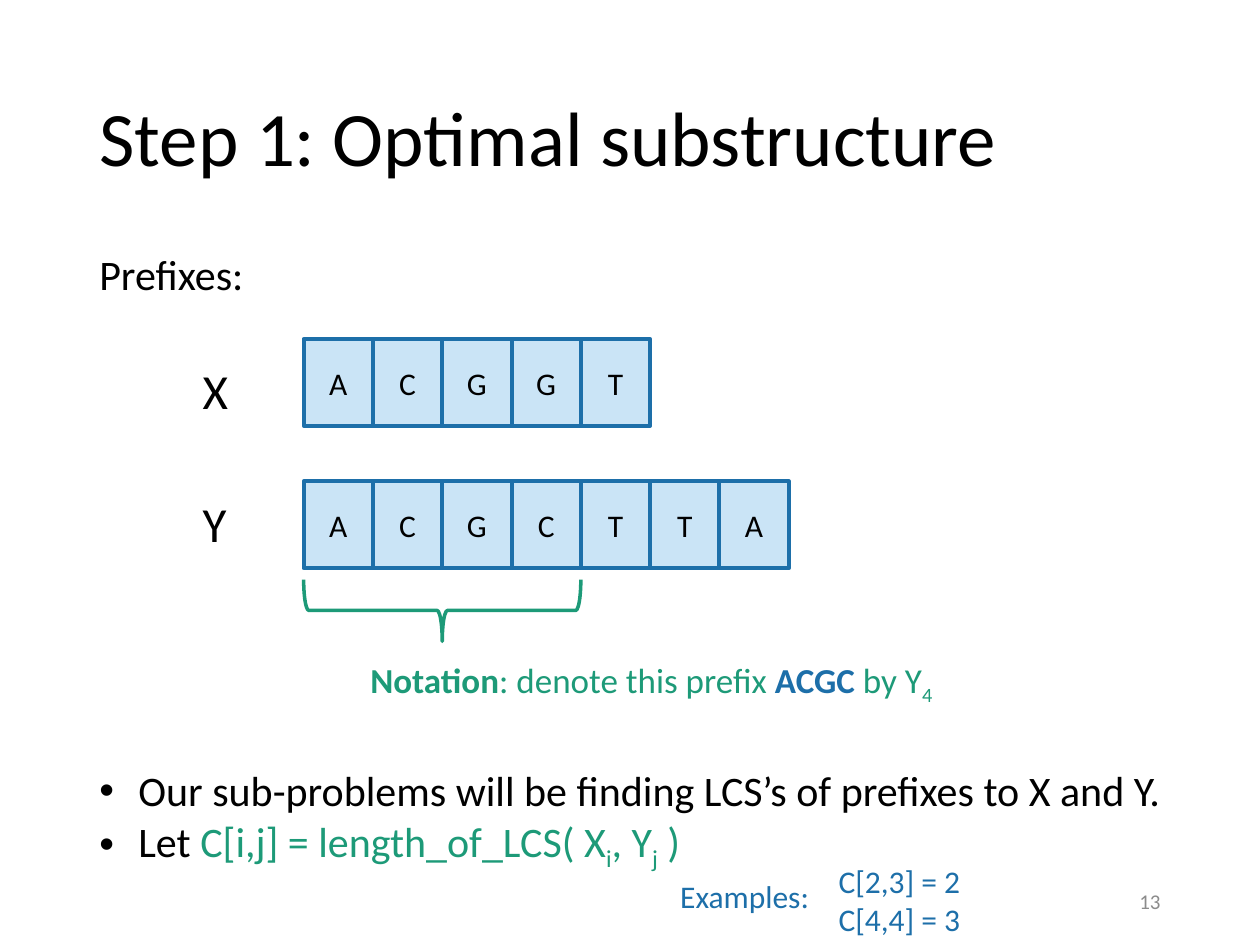
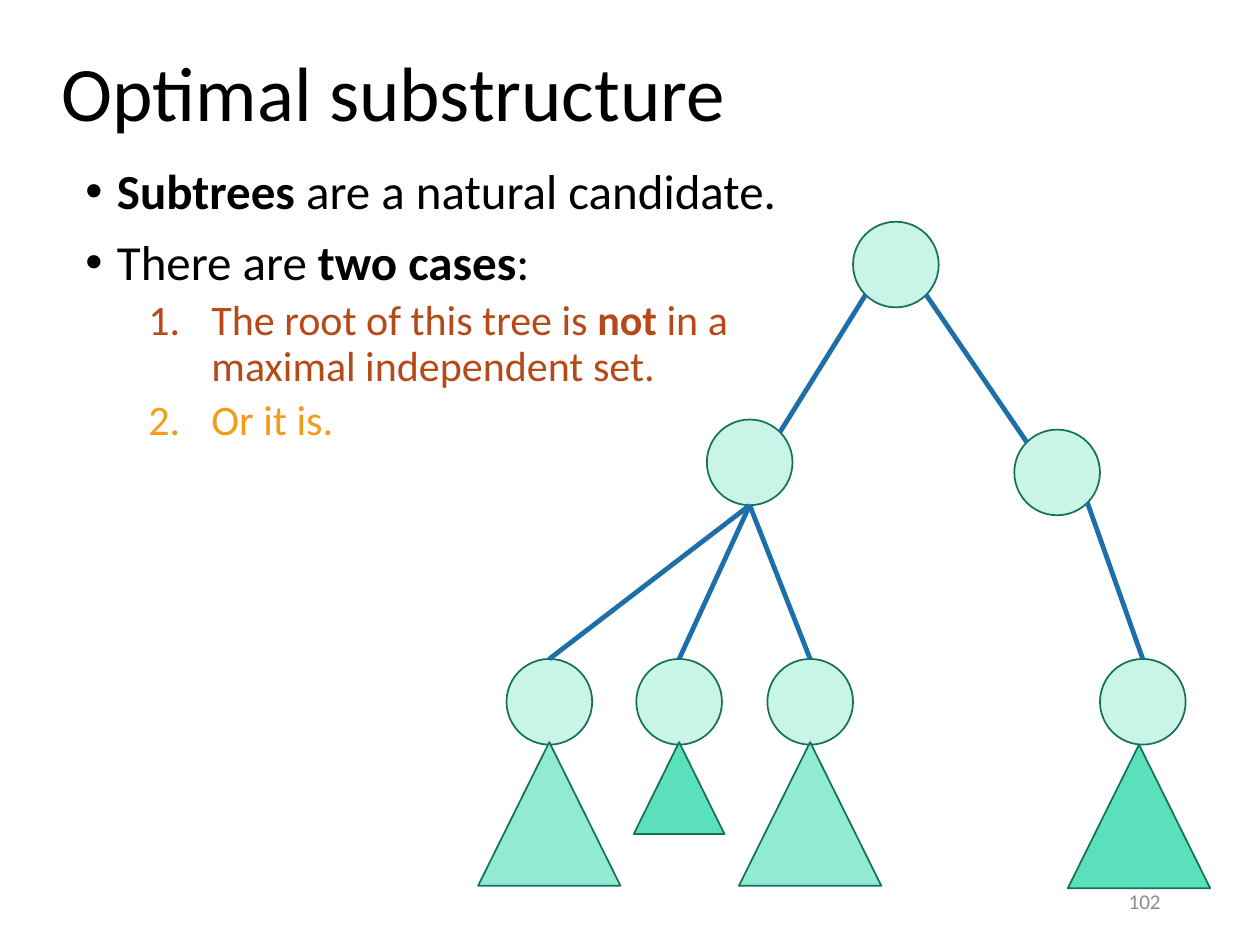
from dataclasses import dataclass
from math import sqrt

from lxml.etree import SubElement
from pptx import Presentation
from pptx.dml.color import RGBColor
from pptx.enum.shapes import MSO_CONNECTOR as Connector, MSO_SHAPE as Shape
from pptx.enum.text import MSO_ANCHOR as Anchor, MSO_AUTO_SIZE as AutoSize, PP_ALIGN as Align
from pptx.oxml.ns import qn
from pptx.util import Inches, Pt


@dataclass(frozen=True)
class Theme:
    font: str = "Calibri"
    black: str = "000000"
    gray: str = "8C8C8C"
    blue: str = "1D6FA9"
    pale_blue: str = "CAE4F6"
    green: str = "1D9A78"
    dark_green: str = "157259"
    node_green: str = "C8F5E8"
    light_green: str = "91EAD2"
    strong_green: str = "5AE0BB"
    rust: str = "B74919"
    amber: str = "F19D19"
    title: int = 44
    large: int = 28
    body: int = 24
    note: int = 20
    small: int = 18
    footer: int = 12


THEME = Theme()
SLIDE_SIZE = 10, 7.5
TITLE_WIDTH = 8.62
PAGE_NUMBER_AREA = 7.06, 6.95, 2.25, 0.4

# A paragraph is a list of spans; a span is a string or (string, format).
BOLD = {"bold": True}
GREEN = {"color": THEME.green}
GREEN_SUB = {"color": THEME.green, "subscript": True}

PREFIX_TITLE = "Step 1: Optimal substructure"
# name, letters, top of the cells, top of the name
SEQUENCES = [("X", "ACGGT", 2.69, 2.81), ("Y", "ACGCTTA", 3.82, 3.87)]
CELL_LEFT, CELL_WIDTH, CELL_HEIGHT = 2.41, 0.55, 0.69
PREFIX_LENGTH = 4
BRACE_TOP, BRACE_DEPTH = 4.6, 0.49
NOTATION = [[("Notation", BOLD), ": denote this prefix",
             (" ACGC ", {"color": THEME.blue, "bold": True}),
             "by Y", ("4", {"subscript": True})]]
SUBPROBLEMS = [
    ["Our sub-problems will be finding LCS’s of prefixes to X and Y."],
    ["Let ", ("C[i,j] = length_of_LCS( X", GREEN), ("i", GREEN_SUB),
     (", Y", GREEN), ("j", GREEN_SUB), (" )", GREEN)],
]
EXAMPLES = [["C[2,3] = 2"], ["C[4,4] = 3"]]

TREE_TITLE = "Optimal substructure"
CANDIDATES = [
    [("Subtrees", BOLD), " are a natural candidate."],
    ["There are ", ("two cases", BOLD), ":"],
]
RUST = {"color": THEME.rust}
CASES = [
    [("The root of this tree is ", RUST), ("not", {**RUST, **BOLD}),
     (" in a maximal independent set.", RUST)],
    [("Or it is.", {"color": THEME.amber})],
]
NODE_SIZE = 0.68
LEAF_ROW = 5.57
NODES = {  # centres
    "root": (7.11, 2.1), "left": (5.95, 3.67), "right": (8.39, 3.75),
    "leaf 1": (4.36, LEAF_ROW), "leaf 2": (5.39, LEAF_ROW),
    "leaf 3": (6.43, LEAF_ROW), "leaf 4": (9.07, LEAF_ROW),
}
DIAGONAL = 1 / sqrt(2)
SIDES = {
    "top": (0, -1), "bottom": (0, 1),
    "top left": (-DIAGONAL, -DIAGONAL), "top right": (DIAGONAL, -DIAGONAL),
    "bottom left": (-DIAGONAL, DIAGONAL), "bottom right": (DIAGONAL, DIAGONAL),
}
EDGES = [
    ("root", "bottom left", "left", "top right"),
    ("root", "bottom right", "right", "top left"),
    *[("left", "bottom", f"leaf {number}", "top") for number in (1, 2, 3)],
    ("right", "bottom right", "leaf 4", "top"),
]
SUBTREES = [  # apex, size, colour
    ((4.36, 5.89), 1.13, THEME.light_green),
    ((5.39, 5.89), 0.72, THEME.strong_green),
    ((6.43, 5.89), 1.13, THEME.light_green),
    ((9.04, 5.91), 1.13, THEME.strong_green),
]


def rgb(color):
    return RGBColor.from_string(color)


def inches(*lengths):
    return [Inches(length) for length in lengths]


def set_bullet(para, tag, margin, hanging, **attributes):
    properties = para._p.get_or_add_pPr()
    properties.set("marL", str(Inches(margin)))
    properties.set("indent", str(-Inches(hanging)))
    if tag == "a:buChar":
        SubElement(properties, qn("a:buFont"), typeface="Arial")
    SubElement(properties, qn(tag), **attributes)


def dot(margin):
    return {"tag": "a:buChar", "margin": margin, "hanging": margin, "char": "•"}


NUMBER = {"tag": "a:buAutoNum", "margin": 1, "hanging": 0.5, "type": "arabicPeriod"}


def write(frame, paragraphs, size=THEME.body, color=THEME.black, align=Align.LEFT,
          anchor=Anchor.TOP, bullet=None, spacing=None, before=0, wrap=True, append=False):
    """Fill a text frame, or append to it, with paragraphs of spans."""
    frame.word_wrap = wrap
    frame.auto_size = AutoSize.NONE
    frame.vertical_anchor = anchor
    for index, spans in enumerate(paragraphs):
        first = index == 0 and not append
        para = frame.paragraphs[0] if first else frame.add_paragraph()
        para.alignment = align
        if bullet:
            set_bullet(para, **bullet)
        if spacing:
            para.line_spacing = spacing
        para.space_before = Pt(0 if first else before)
        for item in spans:
            text, style = (item, {}) if isinstance(item, str) else item
            span = para.add_run()
            span.text = text
            span.font.name = THEME.font
            span.font.size = Pt(size)
            span.font.bold = style.get("bold", False)
            span.font.color.rgb = rgb(style.get("color", color))
            if style.get("subscript"):
                span._r.get_or_add_rPr().set("baseline", "-25000")


def add_text(page, area, paragraphs, **style):
    box = page.shapes.add_textbox(*inches(*area))
    write(box.text_frame, paragraphs, **style)
    return box


def add_shape(page, kind, area, line, weight, fill=None):
    shape = page.shapes.add_shape(kind, *inches(*area))
    shape.shadow.inherit = False
    if fill:
        shape.fill.solid()
        shape.fill.fore_color.rgb = rgb(fill)
    else:
        shape.fill.background()
    shape.line.color.rgb = rgb(line)
    shape.line.width = Pt(weight)
    return shape


def add_page(deck, title, title_area, number):
    page = deck.slides.add_slide(deck.slide_layouts[5])
    heading = page.shapes.title
    heading.left, heading.top, heading.width, heading.height = inches(*title_area)
    write(heading.text_frame, [[title]], size=THEME.title, anchor=Anchor.MIDDLE, spacing=0.9)
    add_text(page, PAGE_NUMBER_AREA, [[str(number)]], size=THEME.footer,
             color=THEME.gray, align=Align.RIGHT, anchor=Anchor.MIDDLE)
    return page


def add_sequence(page, name, letters, cell_top, name_top):
    for column, letter in enumerate(letters):
        area = CELL_LEFT + column * CELL_WIDTH, cell_top, CELL_WIDTH, CELL_HEIGHT
        cell = add_shape(page, Shape.RECTANGLE, area, THEME.blue, 2.25, THEME.pale_blue)
        write(cell.text_frame, [[letter]], size=THEME.small,
              align=Align.CENTER, anchor=Anchor.MIDDLE)
    add_text(page, (1.51, name_top, 0.59, 0.57), [[name]], size=THEME.large)


def add_prefix_brace(page):
    """Turn a right brace so that it lies under the prefix cells."""
    length = PREFIX_LENGTH * CELL_WIDTH
    left = CELL_LEFT + (length - BRACE_DEPTH) / 2
    top = BRACE_TOP + (BRACE_DEPTH - length) / 2
    brace = add_shape(page, Shape.RIGHT_BRACE, (left, top, BRACE_DEPTH, length), THEME.green, 2)
    brace.rotation = 90


def build_prefix_page(deck):
    page = add_page(deck, PREFIX_TITLE, (0.69, 0.4, TITLE_WIDTH, 1.45), 13)
    add_text(page, (0.69, 1.92, 3.13, 0.5), [["Prefixes:"]])
    for sequence in SEQUENCES:
        add_sequence(page, *sequence)
    add_prefix_brace(page)
    add_text(page, (2.84, 5.18, 4.78, 0.44), NOTATION, size=THEME.note, color=THEME.green)
    add_text(page, (0.69, 6.02, 9.43, 0.91), SUBPROBLEMS, bullet=dot(0.31))
    example = {"size": THEME.small, "color": THEME.blue, "align": Align.RIGHT}
    add_text(page, (5.97, 6.79, 1.75, 0.71), EXAMPLES, **example)
    add_text(page, (5.28, 6.91, 1.24, 0.4), [["Examples:"]], wrap=False, **example)


def node_point(node, side):
    return [centre + NODE_SIZE / 2 * step for centre, step in zip(NODES[node], SIDES[side])]


def add_edge(page, parent, parent_side, child, child_side):
    ends = node_point(parent, parent_side) + node_point(child, child_side)
    edge = page.shapes.add_connector(Connector.STRAIGHT, *inches(*ends))
    edge.line.color.rgb = rgb(THEME.blue)
    edge.line.width = Pt(2.75)
    SubElement(edge._element.spPr, qn("a:effectLst"))


def build_tree_page(deck):
    page = add_page(deck, TREE_TITLE, (0.39, 0.37, TITLE_WIDTH, 0.79), 102)
    body = add_text(page, (0.58, 1.28, 5.71, 2.72), CANDIDATES, size=THEME.large,
                    bullet=dot(0.25), spacing=0.9, before=10)
    write(body.text_frame, CASES, bullet=NUMBER, spacing=0.9, before=5, append=True)
    for x, y in NODES.values():
        area = x - NODE_SIZE / 2, y - NODE_SIZE / 2, NODE_SIZE, NODE_SIZE
        add_shape(page, Shape.OVAL, area, THEME.dark_green, 1, THEME.node_green)
    for edge in EDGES:
        add_edge(page, *edge)
    for (x, y), size, color in SUBTREES:
        area = x - size / 2, y, size, size + 0.01
        add_shape(page, Shape.ISOSCELES_TRIANGLE, area, THEME.dark_green, 1, color)


def main():
    deck = Presentation()
    deck.slide_width, deck.slide_height = inches(*SLIDE_SIZE)
    build_prefix_page(deck)
    build_tree_page(deck)
    deck.save("out.pptx")


if __name__ == "__main__":
    main()
